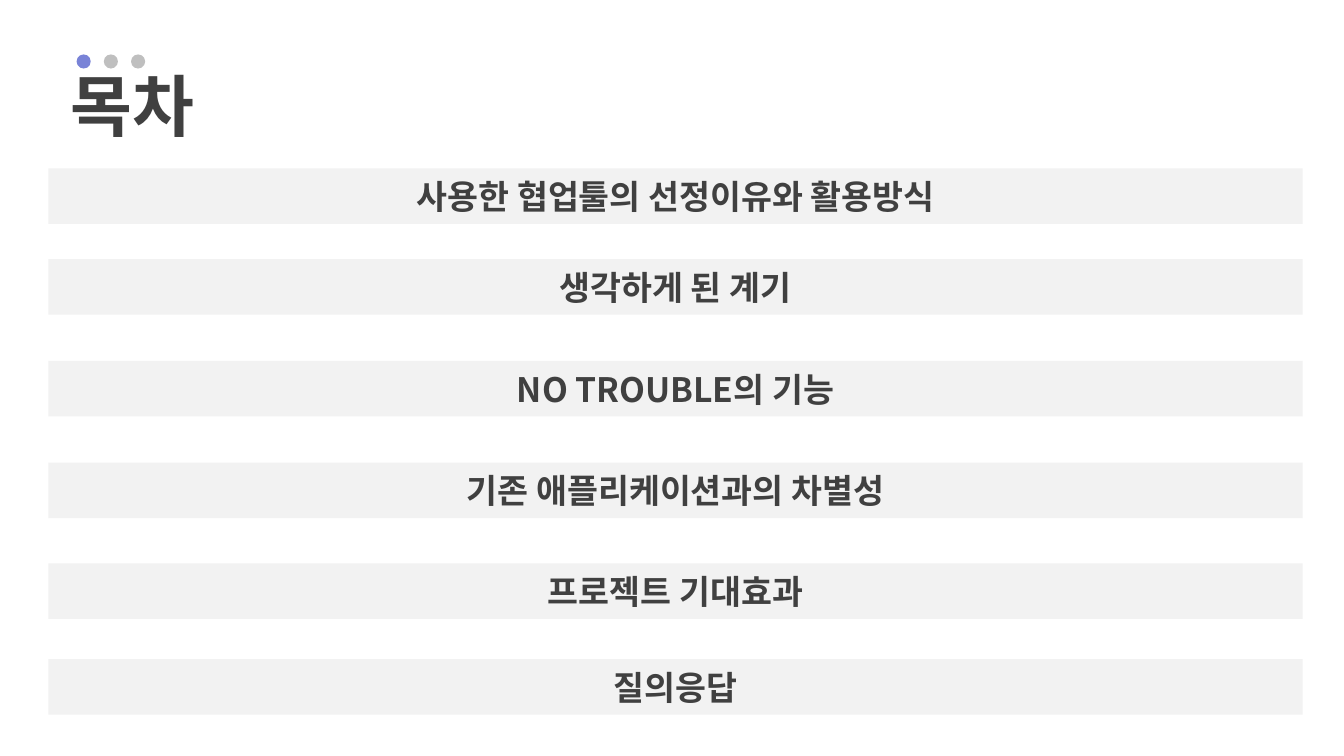
from dataclasses import dataclass

from lxml import etree
from pptx import Presentation
from pptx import util as u
from pptx.dml.color import RGBColor
from pptx.enum import shapes, text
from pptx.oxml import ns
from pptx.shapes.autoshape import Shape
from pptx.slide import Slide


@dataclass(frozen=True)
class Theme:
    font: str = "Noto Sans CJK KR"
    ink: str = "404040"
    accent: str = "7983D7"
    muted: str = "BFBFBF"
    bar: str = "F2F2F2"
    title_size: int = 48
    item_size: int = 24


@dataclass(frozen=True)
class Box:
    left: float
    top: float
    width: float
    height: float

    def lengths(self) -> list[u.Length]:
        return [u.Inches(side) for side in (self.left, self.top, self.width, self.height)]


@dataclass(frozen=True)
class AgendaItem:
    label: str
    top: float


THEME = Theme()
TITLE_BOX = Box(0.7, 0.73, 11.94, 0.9)
DOT_COLORS = (THEME.accent, THEME.muted, THEME.muted)
DOT_LEFT, DOT_TOP, DOT_SIZE, DOT_PITCH = 0.76, 0.54, 0.14, 0.27
BAR_LEFT, BAR_WIDTH, BAR_HEIGHT = 0.48, 12.44, 0.55
AGENDA = (
    AgendaItem("사용한 협업툴의 선정이유와 활용방식", 1.67),
    AgendaItem("생각하게 된 계기", 2.57),
    AgendaItem("NO TROUBLE의 기능", 3.58),
    AgendaItem("기존 애플리케이션과의 차별성", 4.59),
    AgendaItem("프로젝트 기대효과", 5.59),
    AgendaItem("질의응답", 6.54),
)


def set_attributes(target: object, values: dict[str, object]) -> None:
    for name, value in values.items():
        setattr(target, name, value)


def write_text(shape: Shape, wording: str, size: int,
               frame_format: dict[str, object],
               paragraph_format: dict[str, object]) -> None:
    """Fill a shape with one bold line, in the theme font for Latin and Korean."""
    set_attributes(shape.text_frame, {
        "word_wrap": True, "auto_size": text.MSO_AUTO_SIZE.NONE, **frame_format})
    paragraph = shape.text_frame.paragraphs[0]
    set_attributes(paragraph, paragraph_format)
    run = paragraph.add_run()
    run.text = wording
    set_attributes(run.font, {"name": THEME.font, "size": u.Pt(size), "bold": True})
    run.font.color.rgb = RGBColor.from_string(THEME.ink)
    east_asian = etree.SubElement(run.font._element, ns.qn("a:ea"))
    east_asian.set("typeface", THEME.font)


def add_filled_shape(slide: Slide, kind: shapes.MSO_SHAPE, box: Box, color: str) -> Shape:
    shape = slide.shapes.add_shape(kind, *box.lengths())
    shape.shadow.inherit = False
    shape.fill.solid()
    shape.fill.fore_color.rgb = RGBColor.from_string(color)
    shape.line.fill.background()
    return shape


def add_title(slide: Slide, wording: str) -> None:
    title = slide.shapes.title
    set_attributes(title, dict(zip(("left", "top", "width", "height"), TITLE_BOX.lengths())))
    margins = dict.fromkeys(("margin_left", "margin_top", "margin_right", "margin_bottom"), 0)
    write_text(title, wording, THEME.title_size,
               {**margins, "vertical_anchor": text.MSO_ANCHOR.TOP},
               {"alignment": text.PP_ALIGN.LEFT, "line_spacing": 0.9})


def add_dots(slide: Slide) -> None:
    for index, color in enumerate(DOT_COLORS):
        box = Box(DOT_LEFT + index * DOT_PITCH, DOT_TOP, DOT_SIZE, DOT_SIZE)
        add_filled_shape(slide, shapes.MSO_SHAPE.OVAL, box, color)


def add_agenda_bar(slide: Slide, item: AgendaItem) -> None:
    box = Box(BAR_LEFT, item.top, BAR_WIDTH, BAR_HEIGHT)
    bar = add_filled_shape(slide, shapes.MSO_SHAPE.ROUNDED_RECTANGLE, box, THEME.bar)
    bar.adjustments[0] = 0
    write_text(bar, item.label, THEME.item_size,
               {"vertical_anchor": text.MSO_ANCHOR.MIDDLE},
               {"alignment": text.PP_ALIGN.CENTER})


def main() -> None:
    presentation = Presentation()
    set_attributes(presentation, {
        "slide_width": u.Inches(13.33), "slide_height": u.Inches(7.5)})
    title_only = presentation.slide_layouts.get_by_name("Title Only")
    slide = presentation.slides.add_slide(title_only)
    add_title(slide, "목차")
    add_dots(slide)
    for item in AGENDA:
        add_agenda_bar(slide, item)
    presentation.save("out.pptx")


if __name__ == "__main__":
    main()
